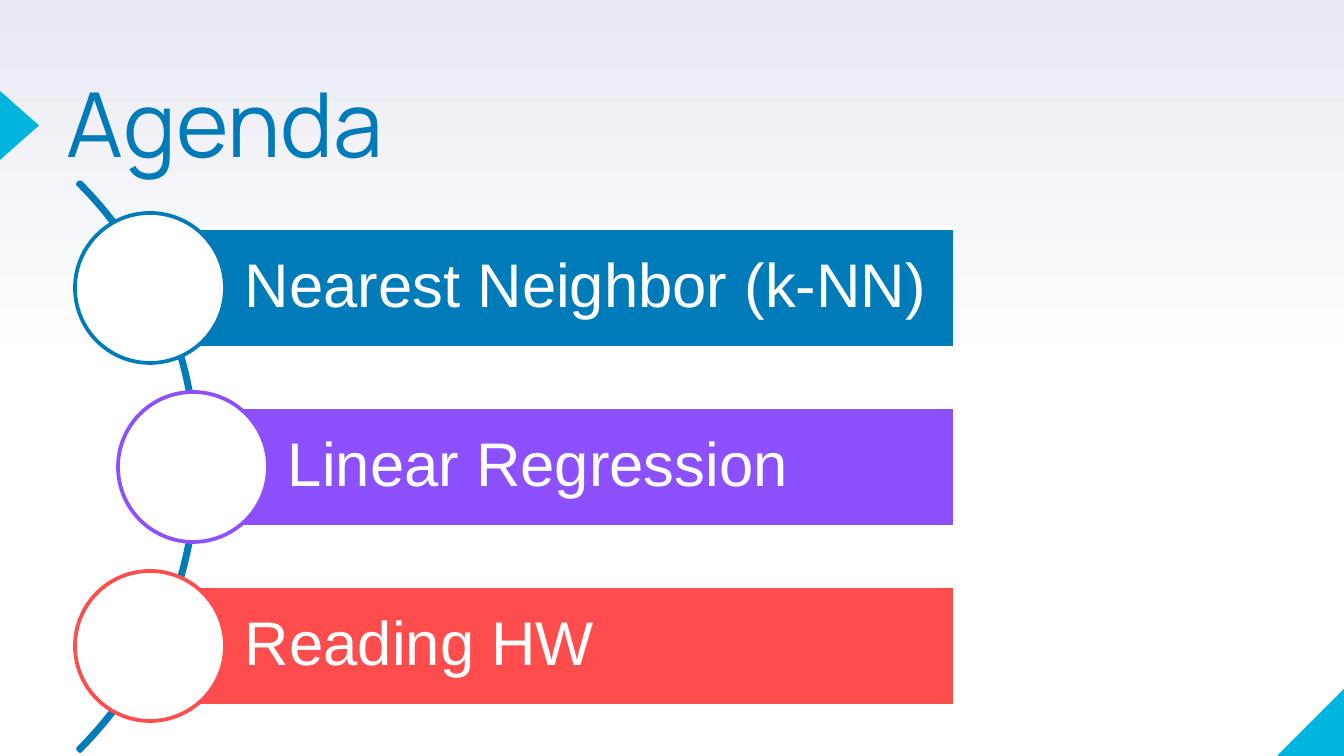
from pptx import Presentation
from pptx.dml.color import RGBColor
from pptx.enum.shapes import MSO_SHAPE
from pptx.enum.text import MSO_ANCHOR, MSO_AUTO_SIZE, PP_ALIGN
from pptx.util import Emu, Pt

EMU_PER_PX = 914400 / 134.4

WHITE = RGBColor(0xFF, 0xFF, 0xFF)
MIST = RGBColor(0xE9, 0xEA, 0xF2)
CYAN = RGBColor(0x00, 0xB5, 0xDD)
BLUE = RGBColor(0x00, 0x7B, 0xB9)
PURPLE = RGBColor(0x8C, 0x50, 0xFF)
RED = RGBColor(0xFF, 0x4D, 0x4D)

# Agenda entries: text, colour, centre of the circle (also the bar's left edge)
TOPICS = [
    ("Nearest Neighbor (k-NN)", BLUE, 150),
    ("Linear Regression", PURPLE, 193),
    ("Reading HW", RED, 150),
]
FIRST_CENTRE, PITCH = 288, 179
BAR_RIGHT, BAR_HEIGHT = 955, 120
CIRCLE_SIZE = 150


def px(length):
    return Emu(round(length * EMU_PER_PX))


def add_shape(slide, kind, left, top, width, height, fill=None, line=None):
    shape = slide.shapes.add_shape(kind, px(left), px(top), px(width), px(height))
    shape.shadow.inherit = False
    if fill is None:
        shape.fill.background()
    else:
        shape.fill.solid()
        shape.fill.fore_color.rgb = fill
    if line is None:
        shape.line.fill.background()
    else:
        shape.line.color.rgb = line
        shape.line.width = Pt(2)
    return shape


def set_text(shape, text, font, size, color, spacing, anchor, insets):
    frame = shape.text_frame
    frame.text = text
    frame.word_wrap = True
    frame.auto_size = MSO_AUTO_SIZE.NONE
    frame.vertical_anchor = anchor
    (frame.margin_left, frame.margin_top,
     frame.margin_right, frame.margin_bottom) = map(px, insets)
    para = frame.paragraphs[0]
    para.alignment = PP_ALIGN.LEFT
    para.line_spacing = spacing
    span = para.runs[0]
    span.font.name = font
    span.font.size = Pt(size)
    span.font.color.rgb = color


def set_background(slide):
    fill = slide.background.fill
    fill.gradient()
    fill.gradient_angle = 90
    for stop, color, position in zip(fill.gradient_stops, (WHITE, MIST), (0.5, 1)):
        stop.color.rgb = color
        stop.position = position


def add_title(slide, text):
    title = slide.shapes.title
    title.left, title.top, title.width, title.height = map(px, (67, 89, 829, 159))
    set_text(title, text, "Manrope", 48, BLUE, 0.8, MSO_ANCHOR.TOP, (0, 0, 0, 0))


def add_topic(slide, text, color, left, centre):
    bar = add_shape(slide, MSO_SHAPE.RECTANGLE, left, centre - BAR_HEIGHT / 2,
                    BAR_RIGHT - left, BAR_HEIGHT, color, WHITE)
    set_text(bar, text, "Arial", 33, WHITE, 0.9, MSO_ANCHOR.MIDDLE, (95, 12, 12, 12))
    radius = CIRCLE_SIZE / 2
    add_shape(slide, MSO_SHAPE.OVAL, left - radius, centre - radius,
              CIRCLE_SIZE, CIRCLE_SIZE, WHITE, color)


def main():
    deck = Presentation()
    deck.slide_width, deck.slide_height = px(1344), px(756)
    slide = deck.slides.add_slide(deck.slide_layouts.get_by_name("Title Only"))
    set_background(slide)

    # Corner and title marker
    corner = add_shape(slide, MSO_SHAPE.RIGHT_TRIANGLE, 1277, 687, 69, 69, CYAN)
    corner._element.spPr.xfrm.set("flipH", "1")
    marker = add_shape(slide, MSO_SHAPE.ISOSCELES_TRIANGLE, -15, 106, 69, 39, CYAN)
    marker.rotation = 90

    add_title(slide, "Agenda")

    # Arc that links the circles
    arc = add_shape(slide, MSO_SHAPE.BLOCK_ARC, -607, 64, 805, 805, line=BLUE)
    for index, value in enumerate((189, 27, 0.004)):
        arc.adjustments[index] = value

    # Agenda bars
    for row, (text, color, left) in enumerate(TOPICS):
        add_topic(slide, text, color, left, FIRST_CENTRE + row * PITCH)

    deck.save("out.pptx")


if __name__ == "__main__":
    main()
